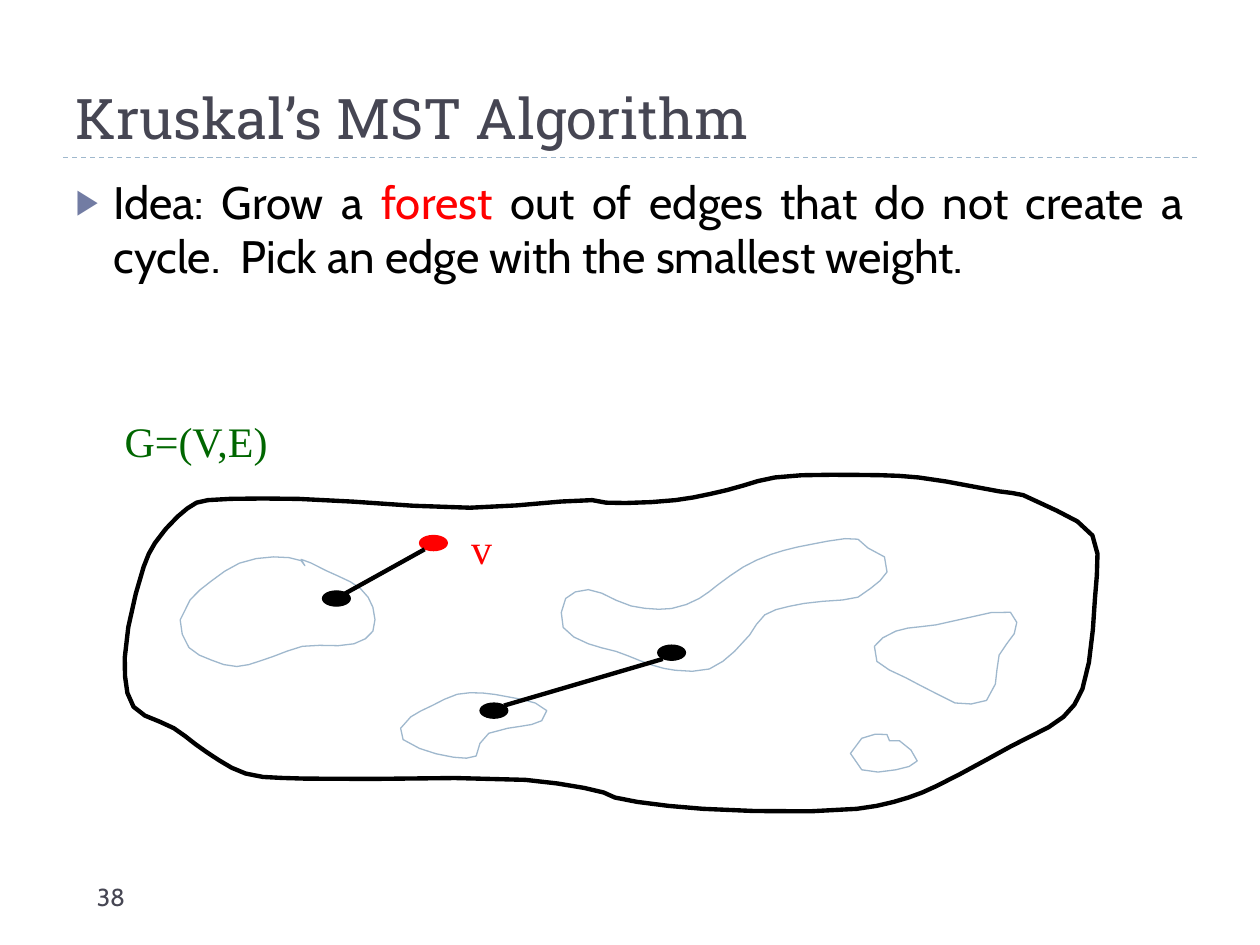
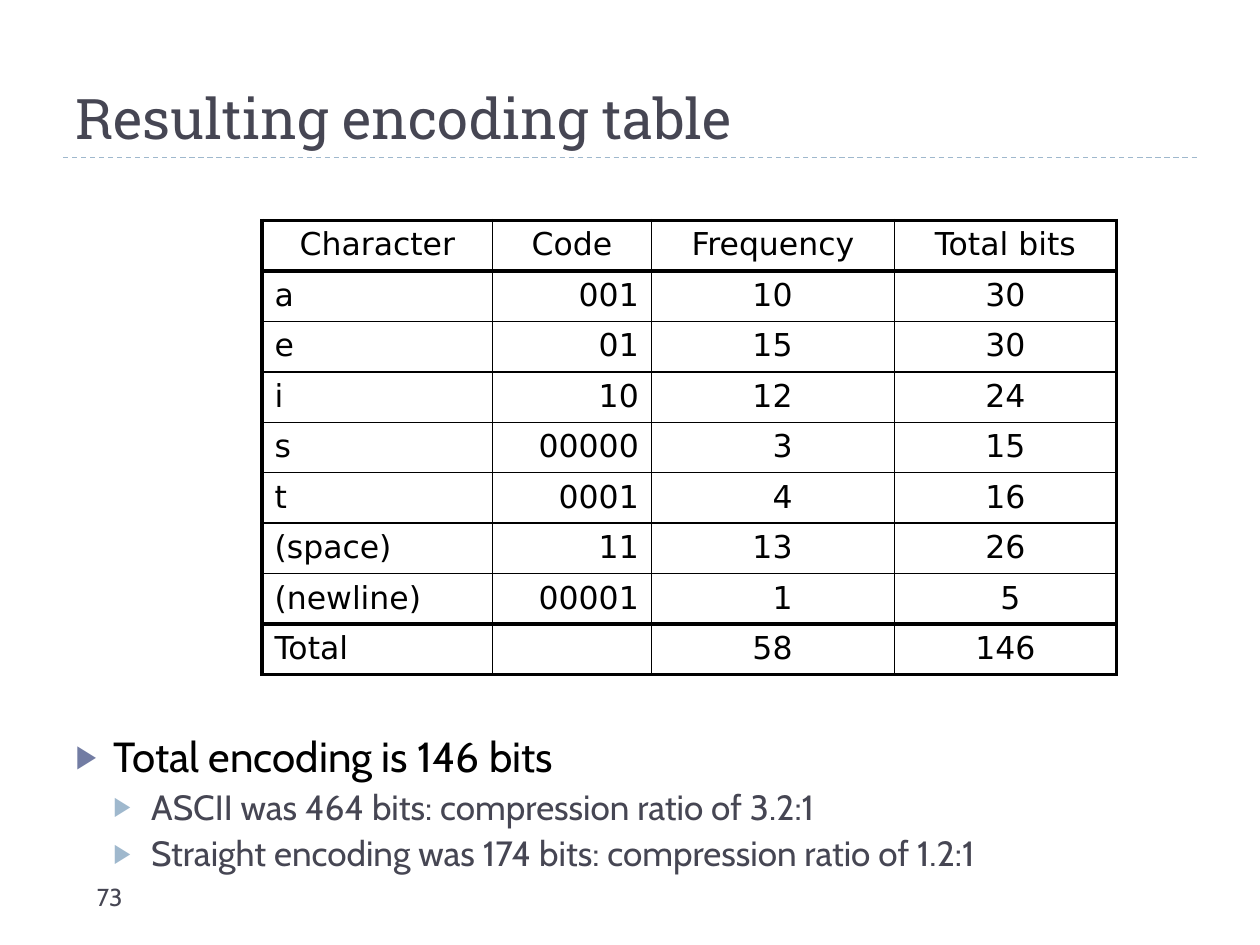
from math import hypot

from lxml.etree import SubElement
from pptx import Presentation
from pptx.dml.color import RGBColor
from pptx.enum.dml import MSO_LINE
from pptx.enum.shapes import MSO_CONNECTOR, MSO_SHAPE
from pptx.enum.text import MSO_ANCHOR, MSO_AUTO_SIZE, PP_ALIGN
from pptx.oxml.ns import qn
from pptx.util import Inches, Pt

# Shared look
SLATE = RGBColor(0x46, 0x46, 0x53)
INDIGO = RGBColor(0x72, 0x7C, 0xA3)
PALE_BLUE = RGBColor(0x9F, 0xB8, 0xCD)
BLACK = RGBColor(0x00, 0x00, 0x00)
RED = RGBColor(0xFF, 0x00, 0x00)
GREEN = RGBColor(0x00, 0x66, 0x00)
TITLE_FONT, BODY_FONT = "Roboto Slab", "Cabin"
TABLE_FONT, GRAPH_FONT = "DejaVu Sans", "Times New Roman"
WIDTH, HEIGHT, MARGIN = 10, 7.5, 0.5
CONTENT_WIDTH = WIDTH - 2 * MARGIN
RULE_Y = 1.25
INDENT = 0.3
# Per outline level: text colour, bullet colour, space before
LEVELS = [(BLACK, INDIGO, 6), (SLATE, PALE_BLUE, 5)]

# Kruskal slide: bullets are (level, size, [(text, colour override)])
KRUSKAL_BULLETS = [
    (0, 26, [("Idea: Grow a ", None), ("forest", RED),
             (" out of edges that do not create a cycle.  "
              "Pick an edge with the smallest weight.", None)]),
]
GRAPH_OUTLINE = [
    (4.81, 3.99), (4.7, 3.97), (3.73, 4.03), (2.37, 3.96), (1.65, 3.97),
    (1.56, 3.99), (1.41, 4.1), (1.23, 4.31), (1.14, 4.5), (0.99, 5.22),
    (1.06, 5.61), (1.38, 5.78), (1.64, 5.97), (1.95, 6.14), (2.42, 6.18),
    (4.17, 6.19), (4.79, 6.29), (4.88, 6.33), (5.58, 6.42), (6.8, 6.42),
    (7.21, 6.33), (7.43, 6.24), (8.03, 5.92), (8.44, 5.69), (8.59, 5.47),
    (8.69, 4.75), (8.67, 4.25), (8.25, 3.99), (8.12, 3.93), (7.93, 3.9),
    (7.29, 3.79), (6.82, 3.77), (6.15, 3.79), (5.77, 3.89), (5.36, 3.97),
]
FOREST_TREES = [
    [(2.42, 4.49), (2.39, 4.45), (2.17, 4.42), (1.9, 4.47), (1.68, 4.61),
     (1.51, 4.76), (1.43, 4.92), (1.5, 5.14), (1.68, 5.24), (1.88, 5.29),
     (2.17, 5.21), (2.4, 5.13), (2.81, 5.11), (2.96, 5.01),
     (2.96, 4.82), (2.86, 4.67), (2.59, 4.53), (2.39, 4.44)],
    [(6.81, 4.28), (6.44, 4.32), (6.12, 4.4), (5.9, 4.5), (5.7, 4.64),
     (5.55, 4.75), (5.33, 4.83), (5.01, 4.81), (4.67, 4.68), (4.49, 4.75),
     (4.47, 4.98), (4.67, 5.11), (4.89, 5.17), (5.18, 5.28), (5.36, 5.32),
     (5.63, 5.31), (5.83, 5.17), (5.95, 5.04), (6.07, 4.88), (6.38, 4.79),
     (6.81, 4.74), (6.91, 4.67), (7.04, 4.54), (7.02, 4.42), (6.89, 4.35)],
    [(7.06, 5.88), (7.04, 5.83), (6.84, 5.86), (6.75, 5.98), (6.84, 6.11),
     (7.11, 6.11), (7.28, 6.04), (7.14, 5.88)],
    [(4.25, 5.58), (4.03, 5.53), (3.83, 5.5), (3.63, 5.51), (3.43, 5.6),
     (3.26, 5.69), (3.18, 5.78), (3.2, 5.87), (3.33, 5.94), (3.6, 6.01),
     (3.78, 6), (3.81, 5.9), (3.88, 5.82), (4.03, 5.78), (4.22, 5.75),
     (4.3, 5.72), (4.34, 5.64)],
    [(8.02, 4.86), (7.43, 4.96), (7.11, 5.01), (6.94, 5.13), (6.96, 5.25),
     (7.19, 5.38), (7.48, 5.53), (7.58, 5.58), (7.83, 5.56),
     (7.9, 5.43), (7.93, 5.2), (8.05, 5.03), (8.07, 4.94)],
]
NODE_WIDTH, NODE_HEIGHT = 0.22, 0.12
NODES = [(2.56, 4.69, BLACK), (3.33, 4.25, RED),
         (3.81, 5.58, BLACK), (5.22, 5.12, BLACK)]
EDGES = [((2.74, 4.71), (3.37, 4.36)), ((4, 5.6), (5.26, 5.23))]
GRAPH_LABELS = [("G=(V,E)", GREEN, 0.89, 3.25, 1.84), ("v", RED, 3.64, 4.1, 0.49)]

# Encoding slide
ENCODING_ROWS = [
    ("Character", "Code", "Frequency", "Total bits"),
    ("a", "001", "10", "30"),
    ("e", "01", "15", "30"),
    ("i", "10", "12", "24"),
    ("s", "00000", "3", "15"),
    ("t", "0001", "4", "16"),
    ("(space)", "11", "13", "26"),
    ("(newline)", "00001", "1", " 5"),
    ("Total", "", "58", "146"),
]
# Per column: width, alignment, right margin
ENCODING_COLUMNS = [(1.83, PP_ALIGN.LEFT, 0.1), (1.26, PP_ALIGN.RIGHT, 0.1),
                    (1.93, PP_ALIGN.RIGHT, 0.81), (1.76, PP_ALIGN.CENTER, 0.1)]
TABLE_LEFT, TABLE_TOP, ROW_HEIGHT = 2.08, 1.75, 0.39
THICK, THIN = 2.25, 1
ENCODING_BULLETS = [
    (0, 24, [("Total encoding is 146 bits", None)]),
    (1, 20, [("ASCII was 464 bits: compression ratio of 3.2:1", None)]),
    (1, 20, [("Straight encoding was 174 bits: compression ratio of 1.2:1", None)]),
]


def set_font(paragraph, name, size, color):
    font = paragraph.font
    font.name, font.size = name, Pt(size)
    font.color.rgb = color


def place(shape, *box):
    shape.left, shape.top, shape.width, shape.height = map(Inches, box)


def add_label(slide, text, box, font_name, size, color):
    frame = slide.shapes.add_textbox(*map(Inches, box)).text_frame
    frame.word_wrap = True
    frame.text = text
    set_font(frame.paragraphs[0], font_name, size, color)


def add_line(slide, start, end, color, width):
    line = slide.shapes.add_connector(
        MSO_CONNECTOR.STRAIGHT, *map(Inches, (*start, *end)))
    line.line.color.rgb = color
    line.line.width = Pt(width)
    SubElement(line._element.spPr, qn("a:effectLst"))
    return line


def set_bullet(paragraph, level, color):
    properties = paragraph._p.get_or_add_pPr()
    properties.set("marL", str(Inches(INDENT * (level + 1))))
    properties.set("indent", str(-Inches(INDENT)))
    bullet_color = SubElement(properties, qn("a:buClr"))
    SubElement(bullet_color, qn("a:srgbClr"), val=str(color))
    SubElement(properties, qn("a:buSzPct"), val="76000")
    SubElement(properties, qn("a:buChar"), char="▶")


def fill_body(body, bullets, line_spacing):
    frame = body.text_frame
    frame.auto_size = MSO_AUTO_SIZE.NONE
    for index, (level, size, runs) in enumerate(bullets):
        paragraph = frame.add_paragraph() if index else frame.paragraphs[0]
        color, bullet_color, space_before = LEVELS[level]
        set_bullet(paragraph, level, bullet_color)
        paragraph.level = level
        paragraph.alignment = PP_ALIGN.JUSTIFY
        paragraph.line_spacing = line_spacing
        paragraph.space_before = Pt(space_before)
        set_font(paragraph, BODY_FONT, size, color)
        for text, override in runs:
            run = paragraph.add_run()
            run.text = text
            if override is not None:
                run.font.color.rgb = override


def add_content_slide(presentation, title, number, bullets, body_top,
                      body_height, line_spacing=1.0):
    slide = presentation.slides.add_slide(presentation.slide_layouts[1])
    add_line(slide, (MARGIN, RULE_Y), (WIDTH - MARGIN, RULE_Y),
             PALE_BLUE, 0.75).line.dash_style = MSO_LINE.DASH
    heading = slide.shapes.title
    place(heading, MARGIN, 0.17, CONTENT_WIDTH, RULE_Y - 0.17)
    heading.text_frame.text = title
    heading.text_frame.vertical_anchor = MSO_ANCHOR.BOTTOM
    paragraph = heading.text_frame.paragraphs[0]
    paragraph.alignment = PP_ALIGN.LEFT
    set_font(paragraph, TITLE_FONT, 32, SLATE)
    body = slide.placeholders[1]
    place(body, MARGIN, body_top, CONTENT_WIDTH, body_height)
    fill_body(body, bullets, line_spacing)
    add_label(slide, str(number), (0.67, 6.95, 2.17, 0.4), BODY_FONT, 14, SLATE)
    return slide


def smooth_closed(knots, step_length=0.12, most_steps=3):
    """Points of a closed centripetal Catmull-Rom curve through the knots."""
    def blend(a, b, time_a, time_b, time):
        share = (time - time_a) / (time_b - time_a)
        return tuple(p + (q - p) * share for p, q in zip(a, b))

    points = []
    for index in range(len(knots)):
        p = [knots[(index + shift) % len(knots)] for shift in (-1, 0, 1, 2)]
        t = [0]
        for a, b in zip(p, p[1:]):
            t.append(t[-1] + hypot(b[0] - a[0], b[1] - a[1]) ** 0.5)
        length = (t[2] - t[1]) ** 2
        steps = max(1, min(most_steps, round(length / step_length)))
        for step in range(steps):
            time = t[1] + (t[2] - t[1]) * step / steps
            first = [blend(p[i], p[i + 1], t[i], t[i + 1], time) for i in range(3)]
            second = [blend(first[i], first[i + 1], t[i], t[i + 2], time)
                      for i in range(2)]
            points.append(blend(*second, t[1], t[2], time))
    return points


def add_outline(slide, knots, color, width):
    points = [(Inches(x), Inches(y)) for x, y in smooth_closed(knots)]
    builder = slide.shapes.build_freeform(*points[0])
    builder.add_line_segments(points[1:], close=True)
    outline = builder.convert_to_shape()
    outline.shadow.inherit = False
    outline.fill.background()
    outline.line.color.rgb = color
    outline.line.width = Pt(width)


def draw_graph(slide):
    add_outline(slide, GRAPH_OUTLINE, BLACK, 2.5)
    for tree in FOREST_TREES:
        add_outline(slide, tree, PALE_BLUE, 0.75)
    for left, top, color in NODES:
        node = slide.shapes.add_shape(
            MSO_SHAPE.OVAL, *map(Inches, (left, top, NODE_WIDTH, NODE_HEIGHT)))
        node.shadow.inherit = False
        node.fill.solid()
        node.fill.fore_color.rgb = color
        node.line.color.rgb = color
        node.line.width = Pt(0.75)
    for start, end in EDGES:
        add_line(slide, start, end, BLACK, 2.5)
    for text, color, left, top, width in GRAPH_LABELS:
        add_label(slide, text, (left, top, width, 0.38), GRAPH_FONT, 24, color)


def set_borders(cell, widths):
    properties = cell._tc.get_or_add_tcPr()
    for side, width in widths.items():
        border = SubElement(properties, qn(f"a:ln{side}"), w=str(Pt(width)))
        fill = SubElement(border, qn("a:solidFill"))
        SubElement(fill, qn("a:srgbClr"), val=str(BLACK))


def draw_encoding_table(slide):
    row_count, column_count = len(ENCODING_ROWS), len(ENCODING_COLUMNS)
    table_width = sum(width for width, _, _ in ENCODING_COLUMNS)
    table = slide.shapes.add_table(
        row_count, column_count, Inches(TABLE_LEFT), Inches(TABLE_TOP),
        Inches(table_width), Inches(ROW_HEIGHT * row_count)).table
    table.first_row = table.horz_banding = False
    # Thick lines frame the table, the header and the total
    row_lines = {0, 1, row_count - 1, row_count}
    column_lines = {0, column_count}
    for c, (width, alignment, right_margin) in enumerate(ENCODING_COLUMNS):
        table.columns[c].width = Inches(width)
        for r, row in enumerate(ENCODING_ROWS):
            cell = table.cell(r, c)
            cell.text = row[c]
            paragraph = cell.text_frame.paragraphs[0]
            paragraph.alignment = alignment if r else PP_ALIGN.CENTER
            set_font(paragraph, TABLE_FONT, 18, BLACK)
            cell.margin_right = Inches(right_margin if r else 0.1)
            set_borders(cell, {
                "L": THICK if c in column_lines else THIN,
                "R": THICK if c + 1 in column_lines else THIN,
                "T": THICK if r in row_lines else THIN,
                "B": THICK if r + 1 in row_lines else THIN,
            })
            cell.fill.background()


def main():
    presentation = Presentation()
    presentation.slide_width, presentation.slide_height = Inches(WIDTH), Inches(HEIGHT)
    draw_graph(add_content_slide(
        presentation, "Kruskal’s MST Algorithm", 38, KRUSKAL_BULLETS, 1.33, 5.4))
    draw_encoding_table(add_content_slide(
        presentation, "Resulting encoding table", 73, ENCODING_BULLETS,
        5.79, HEIGHT - 5.79, line_spacing=0.9))
    presentation.save("out.pptx")


if __name__ == "__main__":
    main()
